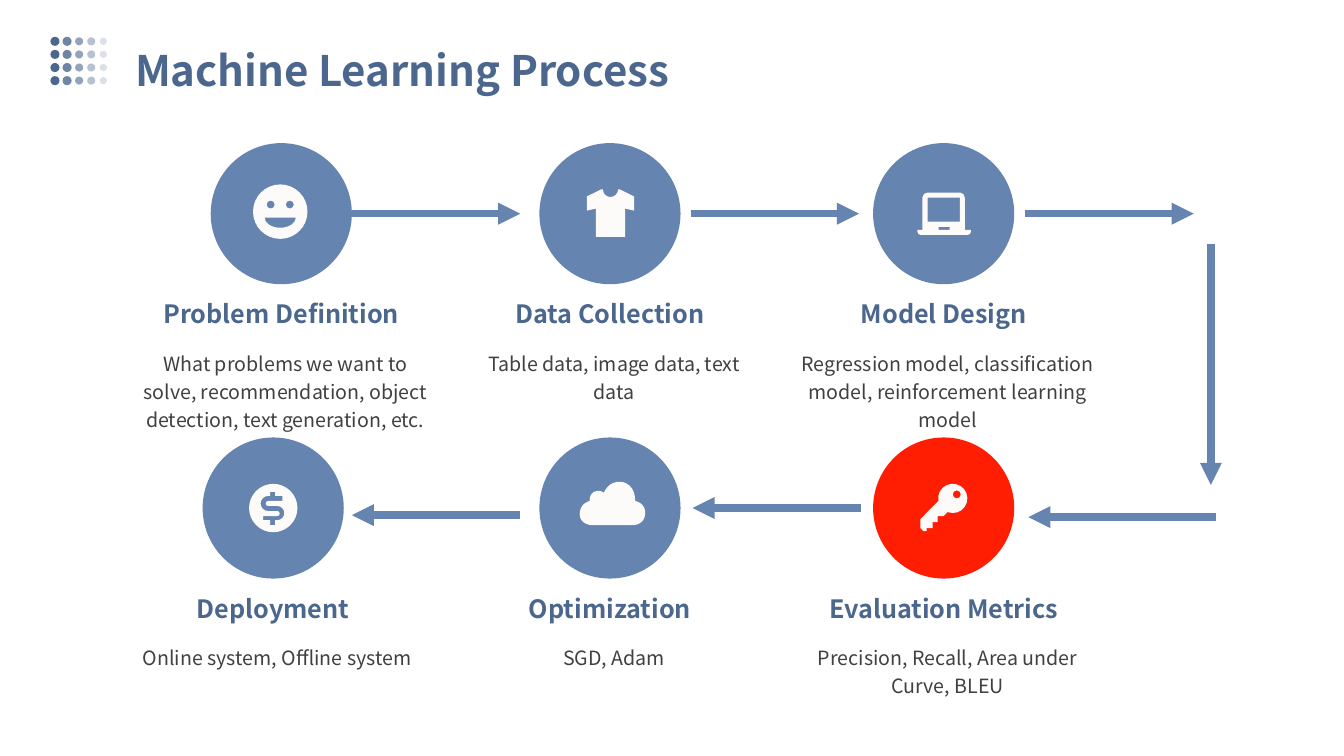
from math import ceil, cos, radians, sin, tan

from lxml import etree
from pptx import Presentation
from pptx.dml.color import RGBColor
from pptx.enum import shapes as sh, text as tx
from pptx.oxml import ns
from pptx.util import Inches, Pt

FONT = "Noto Sans CJK SC"
BLUE = RGBColor(0x66, 0x84, 0xB0)
NAVY = RGBColor(0x4C, 0x67, 0x8E)
RED = RGBColor(0xFF, 0x1E, 0x02)
GREY = RGBColor(0x40, 0x40, 0x40)
WHITE = RGBColor(0xFD, 0xFA, 0xFA)


def arc(cx, cy, rx, ry, start, end):
    """Start point, then one Bezier (six numbers) per quarter turn or less."""
    count = ceil(abs(end - start) / 90)
    turn = radians(end - start) / count
    pull = 4 / 3 * tan(turn / 4)
    out = [(cx + rx * cos(radians(start)), cy + ry * sin(radians(start)))]
    for i in range(count):
        a = radians(start) + turn * i
        b = a + turn
        out.append((cx + rx * (cos(a) - pull * sin(a)), cy + ry * (sin(a) + pull * cos(a)),
                    cx + rx * (cos(b) + pull * sin(b)), cy + ry * (sin(b) - pull * cos(b)),
                    cx + rx * cos(b), cy + ry * sin(b)))
    return out


def bow(cx, cy, r, start, end):
    return arc(cx, cy, r, r, start, end)


def ring(cx, cy, r):
    return bow(cx, cy, r, 0, 360)


# Icon outlines in hundredths of an inch; inner outlines are holes
SMILE = [ring(27, 27, 27), ring(17.5, 20, 4), ring(36.5, 20, 4),
         arc(27, 33, 15.5, 10, 0, 180)]
SHIRT = [[(14, 0), (0, 7), (0, 21), (9, 19), (9, 47), (38, 47), (38, 19),
          (47, 21), (47, 7), (33, 0)] + bow(23.5, 0, 7.5, 0, 180)]
LAPTOP = [[(47, 37), (53, 37)] + bow(50, 39, 3, 0, 90) + bow(3, 39, 3, 90, 180)
          + [(0, 37), (5, 37)] + bow(10, 5, 5, 180, 270) + bow(42, 5, 5, 270, 360),
          [(10, 5), (10, 29), (42, 29), (42, 5)],
          [(21, 34), (21, 37), (32, 37), (32, 34)]]
KEY = [[(0, 35), (0, 44), (3, 47), (6, 47), (6, 44), (12, 44), (12, 38), (17, 38),
        (17, 32), (23, 32), (27, 28)] + bow(32, 14.5, 14.5, 110, -190),
       ring(36, 10.5, 4)]
CLOUD = [[(53, 43), (53, 43, 64, 43, 65, 32), (66, 21, 55, 19, 55, 19),
          (55, 19, 56, 2, 41, 0), (28, -1, 24, 11, 24, 11), (24, 11, 20, 7, 14, 10),
          (9, 13, 10, 19, 10, 19), (10, 19, 0, 21, 0, 32), (0, 42, 11, 43, 11, 43)]]
DOLLAR = [ring(24, 24, 24),
          [(26, 36)] + bow(28, 29, 7, 90, -90) + bow(19, 19.5, 2.5, 90, 270)
          + [(33, 17), (33, 12), (26, 12), (26, 8), (21, 8), (21, 12)]
          + bow(19, 19.5, 7.5, 270, 90) + bow(28, 29.5, 2.5, -90, 90)
          + [(14, 32), (14, 36), (21, 36), (21, 41), (26, 41)]]

# Title, detail, lines of detail, left, top, colour, icon, icon left and top
ROWS = (1.42, 4.34)
STEPS = [
    ("Problem Definition", "What problems we want to solve, recommendation, "
     "object detection, text generation, etc.", 3, 1.29, ROWS[0], BLUE, SMILE, 2.51, 1.83),
    ("Data Collection", "Table data, image data, text data",
     2, 4.55, ROWS[0], BLUE, SHIRT, 5.82, 1.88),
    ("Model Design", "Regression model, classification model, reinforcement "
     "learning model", 3, 7.86, ROWS[0], BLUE, LAPTOP, 9.1, 1.91),
    ("Evaluation Metrics", "Precision, Recall, Area under Curve, BLEU",
     2, 7.86, ROWS[1], RED, KEY, 9.13, 4.8),
    ("Optimization", "SGD, Adam", 1, 4.55, ROWS[1], BLUE, CLOUD, 5.75, 4.78),
    ("Deployment", "Online system, Offline system",
     1, 1.21, ROWS[1], BLUE, DOLLAR, 2.47, 4.8),
]
ARROWS = [
    (3.49, 2.12, 5.16, 2.12), (6.85, 2.12, 8.52, 2.12), (10.17, 2.12, 11.84, 2.12),
    (12.01, 2.42, 12.01, 4.81), (12.06, 5.13, 10.2, 5.13),
    (8.54, 5.04, 6.87, 5.04), (5.16, 5.11, 3.49, 5.11),
]


def paint(shape, color):
    shape.shadow.inherit = False
    shape.fill.solid()
    shape.fill.fore_color.rgb = color
    shape.line.fill.background()


def disc(parts, x, y, size, color, alpha=100):
    dot = parts.add_shape(sh.MSO_SHAPE.OVAL, Inches(x), Inches(y),
                          Inches(size), Inches(size))
    paint(dot, color)
    if alpha < 100:
        tint = dot.fill._xPr.find(".//" + ns.qn("a:srgbClr"))
        etree.SubElement(tint, ns.qn("a:alpha"), val=str(alpha * 1000))


def icon(parts, outlines, x, y):
    fine = [[[n * 100 for n in knot] for knot in line] for line in outlines]
    pen = parts.build_freeform(*fine[0][0], scale=Inches(0.01) / 100)
    for i, line in enumerate(fine):
        if i:
            pen.move_to(*line[0])
        pen.add_line_segments([knot[k:k + 2] for knot in line[1:]
                               for k in range(0, len(knot), 2)], close=True)
    shape = pen.convert_to_shape(Inches(x), Inches(y))
    paint(shape, WHITE)

    # Join each three control points into one curve
    legs = iter(list(shape._element.iter(ns.qn("a:lnTo"))))
    for knot in (k for line in fine for k in line[1:]):
        trio = [next(legs) for _ in range(len(knot) // 2)]
        if len(trio) == 3:
            curve = trio[0].makeelement(ns.qn("a:cubicBezTo"))
            trio[0].addprevious(curve)
            for leg in trio:
                curve.append(leg[0])
                leg.getparent().remove(leg)


def arrow(parts, x1, y1, x2, y2):
    line = parts.add_connector(sh.MSO_CONNECTOR.STRAIGHT, Inches(x1), Inches(y1),
                               Inches(x2), Inches(y2))
    line.line.color.rgb = BLUE
    line.line.width = Pt(5.25)
    etree.SubElement(line.line._get_or_add_ln(), ns.qn("a:tailEnd"), type="triangle")
    etree.SubElement(line._element.spPr, ns.qn("a:effectLst"))


def label(parts, words, box, pads, size, color, gap, bold=False, center=True):
    frame = parts.add_textbox(*map(Inches, box)).text_frame
    frame.word_wrap = True
    (frame.margin_left, frame.margin_top,
     frame.margin_right, frame.margin_bottom) = map(Inches, pads)
    para = frame.paragraphs[0]
    para.text = words
    para.line_spacing = gap
    para.alignment = tx.PP_ALIGN.CENTER if center else tx.PP_ALIGN.LEFT
    para.font.name = FONT
    para.font.size = Pt(size)
    para.font.bold = bold
    para.font.color.rgb = color


def step(parts, title, detail, lines, x, y, color, outlines, ix, iy):
    disc(parts, x + 0.8, y, 1.4, color)
    icon(parts, outlines, ix, iy)
    label(parts, title, (x, y + 1.55, 3, 0.66), (0.12, 0.06, 0.12, 0.06),
          18, NAVY, 0.77, bold=True)
    label(parts, detail, (x - 0.06, y + 1.88, 3.12, 0.26 + 0.28 * lines),
          (0.14, 0.14, 0.06, 0.14), 14, GREY, 1.2)


def main():
    deck = Presentation()
    deck.slide_width, deck.slide_height = Inches(13.33), Inches(7.5)
    parts = deck.slides.add_slide(deck.slide_layouts[6]).shapes

    # Heading with its fading dot grid
    dots = parts.add_group_shape().shapes
    for row in range(4):
        for col, size in enumerate((0.09, 0.09, 0.08, 0.08, 0.07)):
            disc(dots, 0.545 + 0.12 * col - size / 2, 0.41 + 0.13 * row - size / 2,
                 size, NAVY, 100 - 20 * col)
    label(parts, "Machine Learning Process", (1.2, 0.1, 10.94, 0.9),
          (0.14, 0.14, 0.06, 0.14), 30, NAVY, 1.4, bold=True, center=False)

    # Process steps and the arrows between them
    for item in STEPS:
        step(parts, *item)
    for ends in ARROWS:
        arrow(parts, *ends)

    deck.save("out.pptx")


if __name__ == "__main__":
    main()
